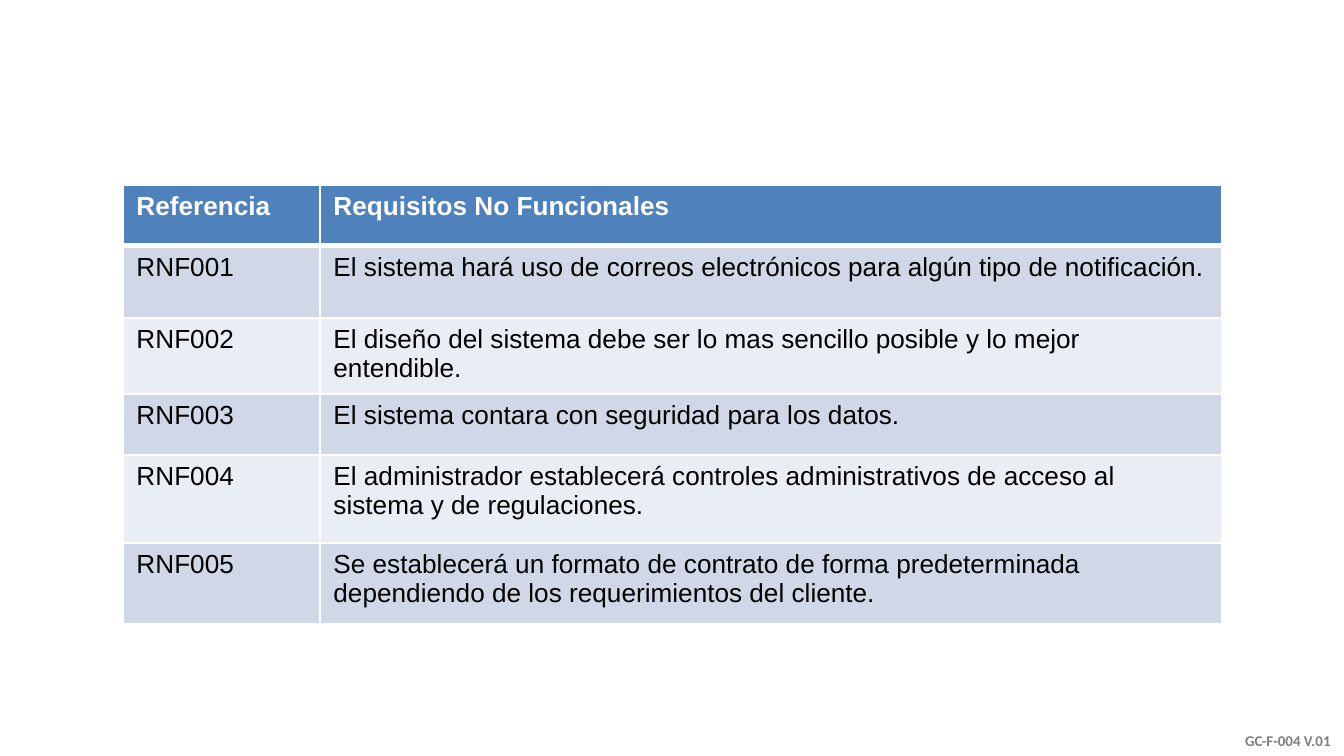
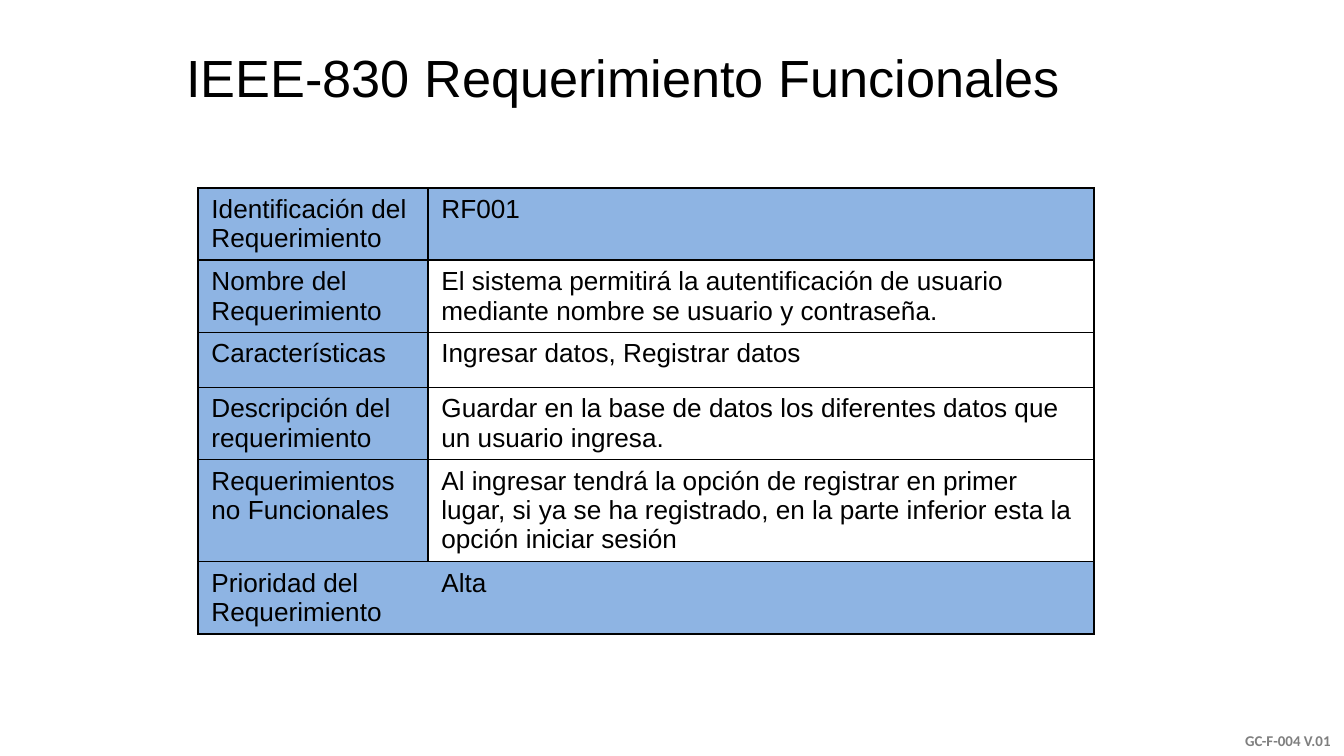
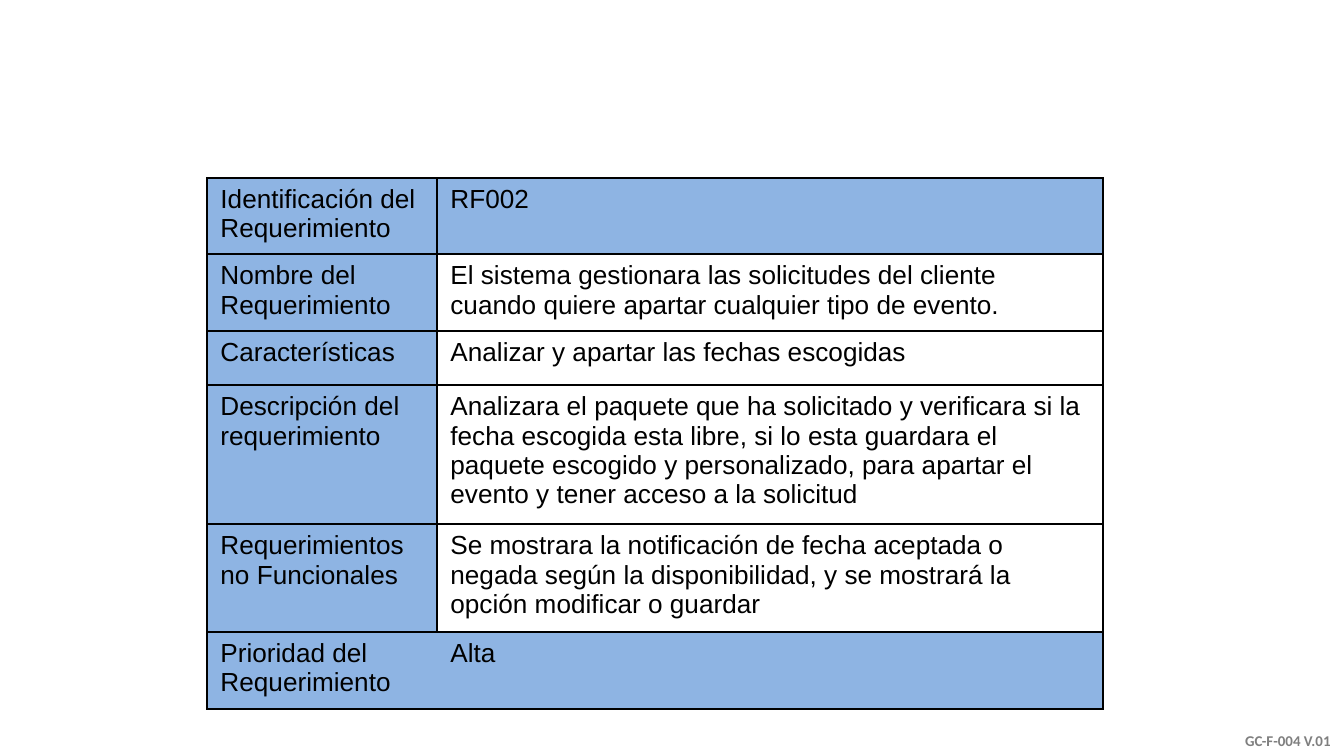
import pptx
import pptx.dml.color
import pptx.enum.text
import pptx.oxml
import pptx.oxml.ns
import pptx.util

RGBColor = pptx.dml.color.RGBColor
WHITE = RGBColor(0xFF, 0xFF, 0xFF)
BLACK = RGBColor(0x00, 0x00, 0x00)
GRAY = RGBColor(0x7F, 0x7F, 0x7F)
HEADER_BLUE = RGBColor(0x4F, 0x81, 0xBD)
BAND_DARK = RGBColor(0xD0, 0xD8, 0xE8)
BAND_LIGHT = RGBColor(0xE9, 0xED, 0xF4)
LABEL_BLUE = RGBColor(0x8E, 0xB4, 0xE3)

PX_PER_INCH = 134.4
TITLE_ONLY, BLANK = 5, 6

NON_FUNCTIONAL = [
    ("Referencia", "Requisitos No Funcionales"),
    ("RNF001", "El sistema hará uso de correos electrónicos para algún tipo de notificación."),
    ("RNF002", "El diseño del sistema debe ser lo mas sencillo posible y lo mejor entendible."),
    ("RNF003", "El sistema contara con seguridad para los datos."),
    ("RNF004", "El administrador establecerá controles administrativos de acceso al sistema "
               "y de regulaciones."),
    ("RNF005", "Se establecerá un formato de contrato de forma predeterminada dependiendo "
               "de los requerimientos del cliente."),
]
REQUIREMENT_LABELS = [
    "Identificación del Requerimiento",
    "Nombre del Requerimiento",
    "Características",
    "Descripción del requerimiento",
    "Requerimientos no Funcionales",
    "Prioridad del Requerimiento",
]
LOGIN_REQUIREMENT = [
    "RF001",
    "El sistema permitirá la autentificación de usuario mediante nombre se usuario y contraseña.",
    "Ingresar datos, Registrar datos",
    "Guardar en la base de datos los diferentes datos que un usuario ingresa.",
    "Al ingresar tendrá la opción de registrar en primer lugar, si ya se ha registrado, "
    "en la parte inferior esta la opción iniciar sesión",
    "Alta",
]
BOOKING_REQUIREMENT = [
    "RF002",
    "El sistema gestionara las solicitudes del cliente cuando quiere apartar cualquier "
    "tipo de evento.",
    "Analizar y apartar las fechas escogidas",
    "Analizara el paquete que ha solicitado y verificara si la fecha escogida esta libre, "
    "si lo esta guardara el paquete escogido y personalizado, para apartar el evento y "
    "tener acceso a la solicitud",
    "Se mostrara la notificación de fecha aceptada o negada según la disponibilidad, "
    "y se mostrará la opción modificar o guardar",
    "Alta",
]


def px(length):
    return pptx.util.Inches(length / PX_PER_INCH)


def style_text(paragraph, size, color, name="Arial", bold=False):
    font = paragraph.font
    font.size = pptx.util.Pt(size)
    font.name = name
    font.bold = bold
    font.color.rgb = color


def set_borders(cell, color, widths):
    """Draw the left, right, top and bottom borders; a width of 0 hides one."""
    for side, width in zip("LRTB", widths):
        paint = (f'<a:solidFill><a:srgbClr val="{color}"/></a:solidFill>'
                 if width else "<a:noFill/>")
        cell._tc.get_or_add_tcPr().append(pptx.oxml.parse_xml(
            f'<a:ln{side} {pptx.oxml.ns.nsdecls("a")} w="{pptx.util.Pt(width)}">'
            f"{paint}</a:ln{side}>"))


def style_cell(cell, text, fill, color=BLACK, bold=False):
    cell.text = text
    style_text(cell.text_frame.paragraphs[0], 14, color, bold=bold)
    if fill is None:
        cell.fill.background()
    else:
        cell.fill.solid()
        cell.fill.fore_color.rgb = fill


def add_plain_table(slide, left, top, column_widths, row_heights):
    table = slide.shapes.add_table(
        len(row_heights), len(column_widths), px(left), px(top),
        px(sum(column_widths)), px(sum(row_heights))).table
    table.first_row = table.horz_banding = False
    for column, width in zip(table.columns, column_widths):
        column.width = px(width)
    for row, height in zip(table.rows, row_heights):
        row.height = px(height)
    return table


def add_non_functional_table(slide):
    table = add_plain_table(slide, 123, 185, [197, 902], [61, 72, 72, 61, 88, 81])
    for row, texts in enumerate(NON_FUNCTIONAL):
        is_header = row == 0
        band = HEADER_BLUE if is_header else BAND_DARK if row % 2 else BAND_LIGHT
        borders = (1, 1, 3 if row == 1 else 1, 3 if is_header else 1)
        for column, text in enumerate(texts):
            cell = table.cell(row, column)
            set_borders(cell, WHITE, borders)
            style_cell(cell, text, band, WHITE if is_header else BLACK, is_header)


def add_requirement_table(slide, left, top, row_heights, values):
    table = add_plain_table(slide, left, top, [230, 666], row_heights)
    last = len(values) - 1
    for row, (label, value) in enumerate(zip(REQUIREMENT_LABELS, values)):
        divider = 0 if row == last else 1
        label_cell, value_cell = table.cell(row, 0), table.cell(row, 1)
        set_borders(label_cell, BLACK, (1, divider, 1, 1))
        set_borders(value_cell, BLACK, (divider, 1, 1, 1))
        style_cell(label_cell, label, LABEL_BLUE)
        style_cell(value_cell, value, LABEL_BLUE if row in (0, last) else None)


def set_title(slide, text):
    title = slide.shapes.title
    title.left, title.top, title.width, title.height = px(173), px(39), px(970), px(77)
    frame = title.text_frame
    frame.text = text
    frame.vertical_anchor = pptx.enum.text.MSO_ANCHOR.TOP
    frame.paragraphs[0].alignment = pptx.enum.text.PP_ALIGN.LEFT
    style_text(frame.paragraphs[0], 28, BLACK)


def add_master_footer(deck, slide):
    """Build the form code on a slide, then move it to the master for all slides."""
    form_code = slide.shapes.add_textbox(px(1125), px(699), px(219), px(57))
    frame = form_code.text_frame
    frame.word_wrap = True
    frame.vertical_anchor = pptx.enum.text.MSO_ANCHOR.BOTTOM
    frame.text = "GC-F-004 V.01"
    frame.paragraphs[0].alignment = pptx.enum.text.PP_ALIGN.RIGHT
    style_text(frame.paragraphs[0], 8, GRAY, name="Calibri", bold=True)
    form_code.element.nvSpPr.cNvPr.set("id", "20")
    deck.slide_master.shapes.element.append(form_code.element)


def main():
    deck = pptx.Presentation()
    deck.slide_width, deck.slide_height = px(1344), px(756)
    non_functional, login, booking = [
        deck.slides.add_slide(deck.slide_layouts[layout])
        for layout in (BLANK, TITLE_ONLY, BLANK)]

    add_master_footer(deck, non_functional)
    add_non_functional_table(non_functional)
    set_title(login, "IEEE-830 Requerimiento Funcionales")
    add_requirement_table(login, 198, 188, [72, 72, 55, 72, 102, 72], LOGIN_REQUIREMENT)
    add_requirement_table(booking, 207, 178, [76, 77, 54, 139, 107, 77], BOOKING_REQUIREMENT)
    deck.save("out.pptx")


if __name__ == "__main__":
    main()
